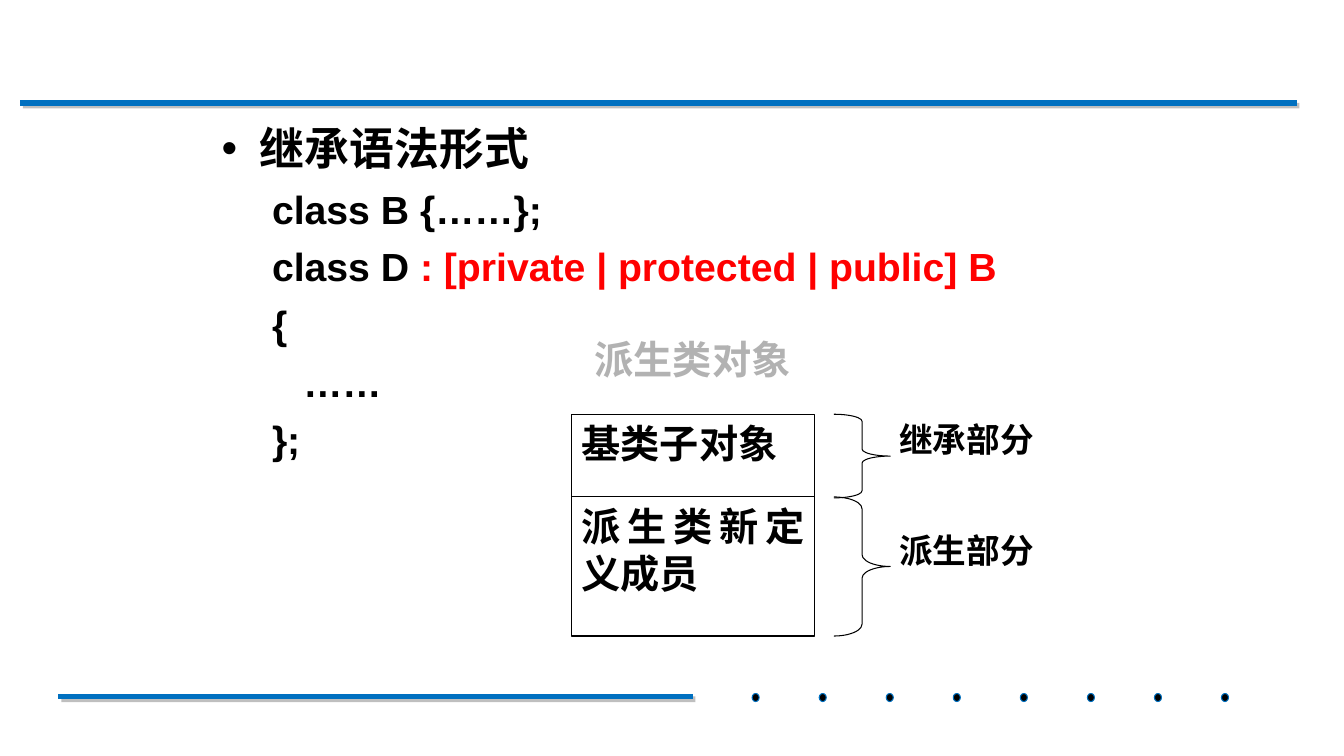
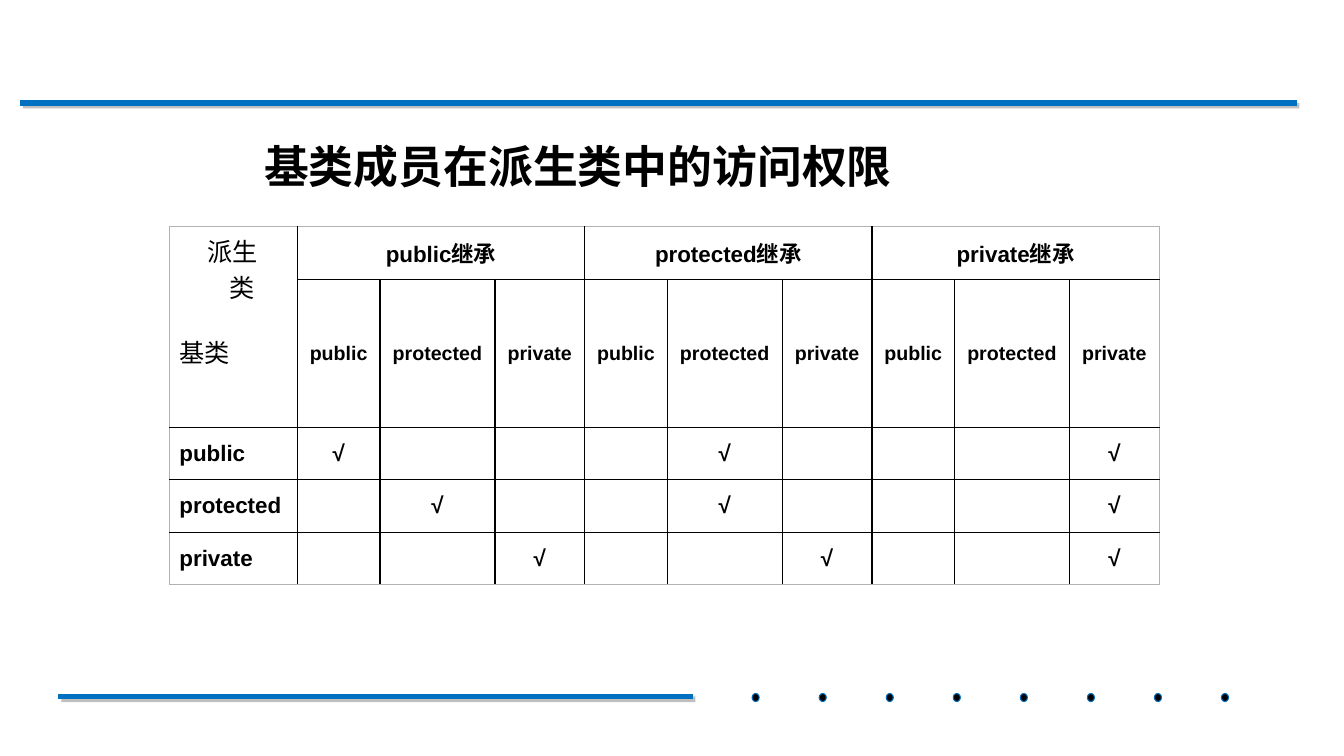
from lxml import etree
from pptx import Presentation
from pptx.dml.color import RGBColor
from pptx.enum.shapes import MSO_CONNECTOR, MSO_SHAPE
from pptx.enum.text import MSO_ANCHOR, PP_ALIGN
from pptx.oxml import parse_xml
from pptx.oxml.ns import nsdecls, qn
from pptx.util import Inches, Pt

BLACK = RGBColor(0x00, 0x00, 0x00)
WHITE = RGBColor(0xFF, 0xFF, 0xFF)
BLUE = RGBColor(0x00, 0x70, 0xC0)
RED = RGBColor(0xFF, 0x00, 0x00)
GRAY = RGBColor(0xB2, 0xB2, 0xB2)
SANS, SERIF = "Arial", "Times New Roman"
LEFT, MID, JUST = PP_ALIGN.LEFT, PP_ALIGN.CENTER, PP_ALIGN.JUSTIFY
TOP, CENTER = MSO_ANCHOR.TOP, MSO_ANCHOR.MIDDLE
OVAL, RECT, BRACE = MSO_SHAPE.OVAL, MSO_SHAPE.RECTANGLE, MSO_SHAPE.RIGHT_BRACE
STRAIGHT = MSO_CONNECTOR.STRAIGHT
SHADOW = (
    f'<a:effectLst {nsdecls("a")}><a:outerShdw dist="35921" dir="2700000">'
    '<a:srgbClr val="808080"><a:alpha val="50000"/></a:srgbClr>'
    '</a:outerShdw></a:effectLst>'
)


class Deck:
    def __init__(self):
        self.prs = Presentation()
        self.prs.slide_width = Inches(13.33)
        self.prs.slide_height = Inches(7.5)
        self.slide = None

    def add(self):
        """Start a slide with the shared bars and dots."""
        self.slide = self.prs.slides.add_slide(self.prs.slide_layouts[6])
        self.bar(0.2, 12.86, 1.02)
        self.bar(0.58, 6.87, 6.91)
        for i in range(8):
            self.shape(OVAL, 7.46 + 0.665 * i, 6.88, 0.07, 0.08, BLACK, BLUE)

    def bar(self, start, end, y):
        line = self.slide.shapes.add_connector(
            STRAIGHT, Inches(start), Inches(y), Inches(end), Inches(y))
        line.line.color.rgb = BLUE
        line.line.width = Pt(4)
        line._element.spPr.append(parse_xml(SHADOW))

    def shape(self, kind, x, y, w, h, fill=None, line=BLACK):
        item = self.slide.shapes.add_shape(
            kind, Inches(x), Inches(y), Inches(w), Inches(h))
        item.shadow.inherit = False
        if fill is None:
            item.fill.background()
        else:
            item.fill.solid()
            item.fill.fore_color.rgb = fill
        item.line.color.rgb = line
        item.line.width = Pt(0.75)
        return item

    def text(self, x, y, w, h):
        box = self.slide.shapes.add_textbox(
            Inches(x), Inches(y), Inches(w), Inches(h))
        box.text_frame.word_wrap = True
        return box.text_frame

    def style(self, para, size, face=SANS, color=BLACK, bold=True, align=LEFT):
        para.alignment = align
        for run in para.runs:
            font = run.font
            font.size, font.name, font.bold = Pt(size), face, bold
            font.color.rgb = color

    def label(self, text, x, y, w, h, size, face=SERIF, color=BLACK, align=JUST):
        frame = self.text(x, y, w, h)
        frame.text = text
        self.style(frame.paragraphs[0], size, face, color, align=align)

    def panel(self, text, x, y, w, h):
        frame = self.shape(RECT, x, y, w, h, WHITE).text_frame
        frame.word_wrap = True
        frame.vertical_anchor = TOP
        frame.text = text
        self.style(frame.paragraphs[0], 28, SERIF, align=JUST)

    def brace(self, x, y, w, h, curve):
        self.shape(BRACE, x, y, w, h).adjustments[0] = curve

    def indent(self, para, left, first=0.0, bullet=None):
        props = para._p.get_or_add_pPr()
        props.set("marL", str(Inches(left)))
        props.set("indent", str(Inches(first)))
        if bullet:
            etree.SubElement(props, qn("a:buFont")).set("typeface", SANS)
            etree.SubElement(props, qn("a:buChar")).set("char", bullet)

    def table(self, x, y, cols, rows):
        grid = self.slide.shapes.add_table(
            len(rows), len(cols), Inches(x), Inches(y),
            Inches(sum(cols)), Inches(sum(rows))).table
        grid.first_row = grid.horz_banding = False
        for col, width in zip(grid.columns, cols):
            col.width = Inches(width)
        for row, height in zip(grid.rows, rows):
            row.height = Inches(height)
        return grid

    def cell(self, cell, text, size, align=MID):
        cell.text = text
        cell.vertical_anchor = CENTER
        self.style(cell.text_frame.paragraphs[0], size, align=align)

    def rule(self, grid):
        """White cells, black inner lines, gray outer frame."""
        high, wide = len(grid.rows), len(grid.columns)
        for r in range(high):
            for c in range(wide):
                cell = grid.cell(r, c)
                cell.fill.solid()
                cell.fill.fore_color.rgb = WHITE
                edges = {"lnL": c == 0, "lnR": c + cell.span_width == wide,
                         "lnT": r == 0, "lnB": r + cell.span_height == high}
                props = cell._tc.get_or_add_tcPr()
                for i, (side, outer) in enumerate(edges.items()):
                    props.insert(i, parse_xml(
                        f'<a:{side} {nsdecls("a")} w="12700"><a:solidFill>'
                        f'<a:srgbClr val="{GRAY if outer else BLACK}"/>'
                        f'</a:solidFill></a:{side}>'))


def syntax(deck):
    deck.add()
    # Code outline
    frame = deck.text(2.1, 1.15, 8.5, 4.89)
    head = frame.paragraphs[0]
    head.text = "继承语法形式"
    deck.indent(head, 0.38, -0.38, "•")
    deck.style(head, 32)
    code = [("class B {……};", "", 0.5),
            ("class D ", ": [private | protected | public] B", 0.5),
            ("{", "", 0.5), ("……", "", 0.81), ("};", "", 0.5)]
    for plain, marked, left in code:
        para = frame.add_paragraph()
        para.text = plain
        para.space_before = Pt(7.5)
        deck.indent(para, left)
        if marked:
            para.add_run().text = marked
        deck.style(para, 28)
        if marked:
            para.runs[1].font.color.rgb = RED

    # Object layout: panel text, note, top, height, note top, curve
    parts = [("基类子对象", "继承部分", 4.11, 0.83, 4.11, 0.125),
             ("派生类新定义成员", "派生部分", 4.93, 1.38, 5.21, 0.21)]
    for name, note, top, high, low, curve in parts:
        deck.panel(name, 5.67, top, 2.41, high)
        deck.brace(8.27, top, 0.56, high, curve)
        deck.label(note, 8.82, low, 2.41, 0.83, 24)
    deck.label("派生类对象", 5.8, 3.28, 2.41, 0.83, 28, color=GRAY)


def access(deck):
    deck.add()
    deck.label("基类成员在派生类中的访问权限", 2.23, 1.33, 7.01, 0.64, 32,
               SANS, align=MID)
    modes = ["public", "protected", "private"]
    grid = deck.table(1.68, 2.25, [1.27] + [0.82, 1.14, 0.89] * 3,
                      [0.52, 1.47, 0.52, 0.52, 0.52])

    # Corner cell
    corner = grid.cell(0, 0)
    corner.merge(grid.cell(1, 0))
    corner.text = "派生\n类\n基类"
    lines = corner.text_frame.paragraphs
    for para, left in zip(lines, [0.28, 0.5, 0]):
        deck.indent(para, left)
        deck.style(para, 18, bold=False)
    lines[2].space_before = Pt(20)

    # Headings and marks: the column ticked for each base member
    ticks = [[0, 1, 2], [1, 1, 2], [2, 2, 2]]
    for m, mode in enumerate(modes):
        first = 1 + 3 * m
        grid.cell(0, first).merge(grid.cell(0, first + 2))
        deck.cell(grid.cell(0, first), mode + "继承", 16)
        deck.cell(grid.cell(2 + m, 0), mode, 16, LEFT)
        for k, name in enumerate(modes):
            deck.cell(grid.cell(1, first + k), name, 14)
            deck.cell(grid.cell(2 + k, first + ticks[m][k]), "√", 16)
    deck.rule(grid)


def main():
    deck = Deck()
    syntax(deck)
    access(deck)
    deck.prs.save("out.pptx")


if __name__ == "__main__":
    main()
